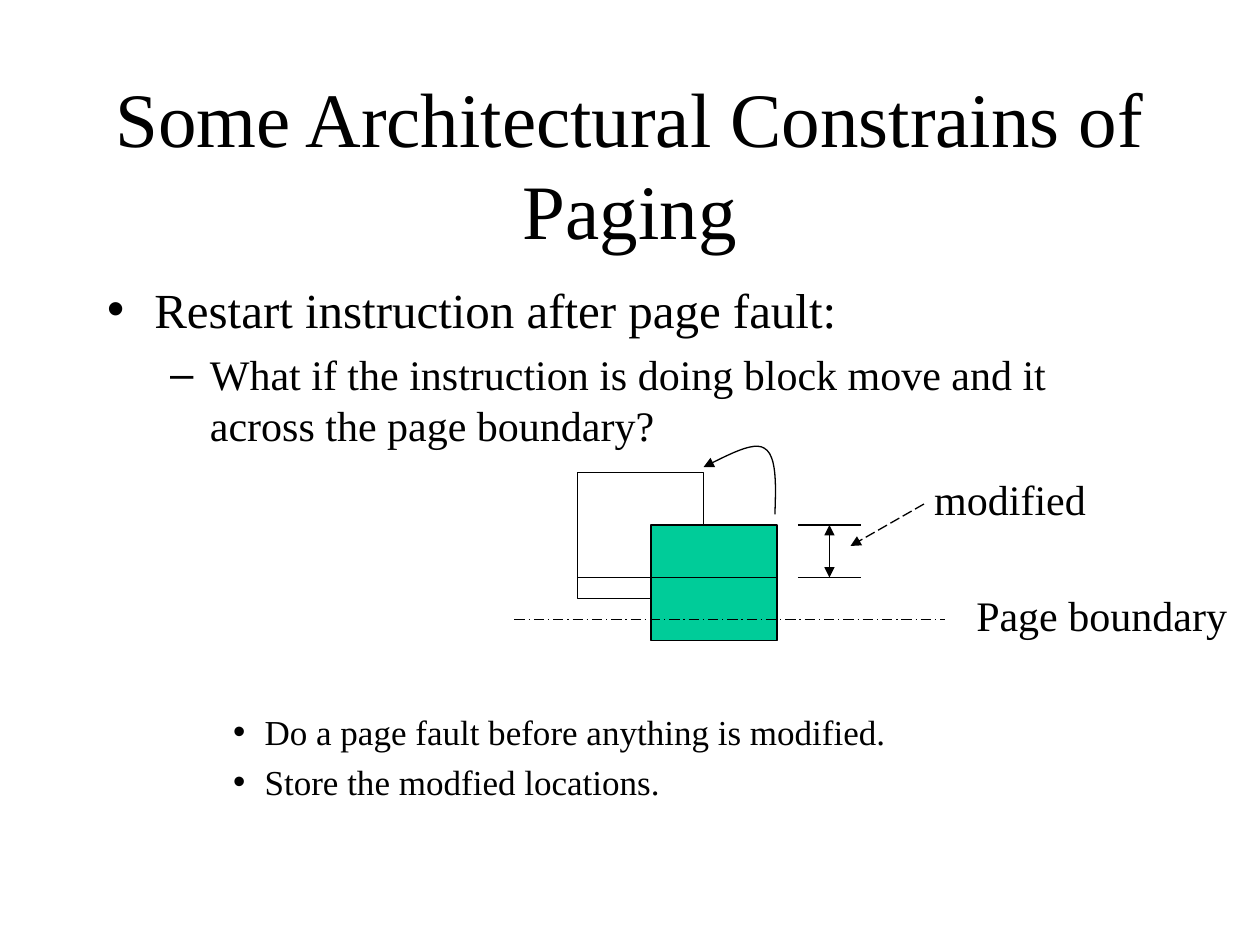
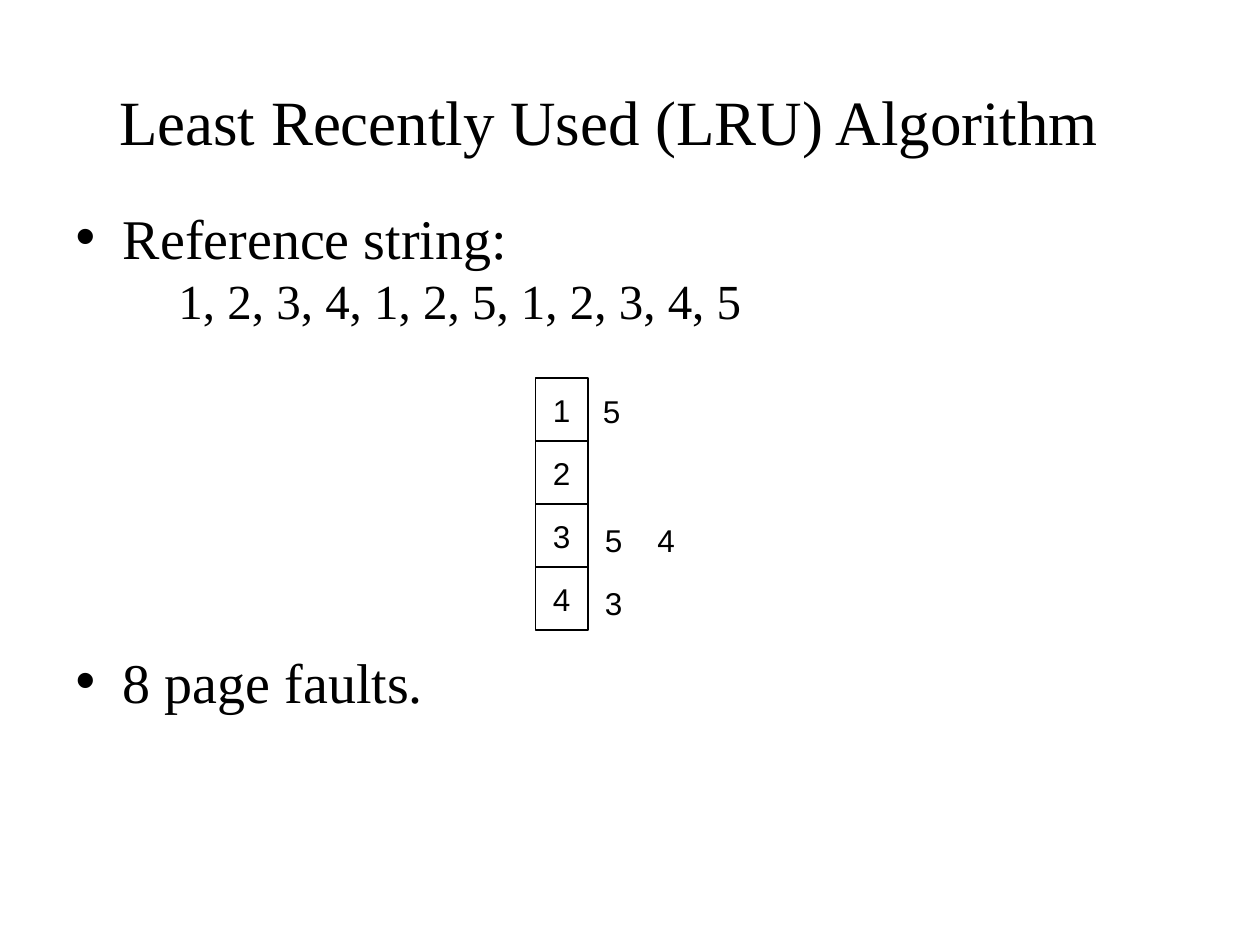
from lxml import etree
from pptx import Presentation
from pptx.dml.color import RGBColor
from pptx.enum.dml import MSO_LINE
from pptx.enum.shapes import MSO_CONNECTOR, MSO_SHAPE
from pptx.enum.text import MSO_ANCHOR, MSO_AUTO_SIZE, PP_ALIGN
from pptx.oxml.ns import qn
from pptx.util import Pt

PX = 7620
BLACK = RGBColor(0, 0, 0)
WHITE = RGBColor(255, 255, 255)
GREEN = RGBColor(0, 204, 153)
SERIF, SANS = "Times New Roman", "Arial"
RECT = MSO_SHAPE.RECTANGLE
STRAIGHT = MSO_CONNECTOR.STRAIGHT
DASH, DASHDOT = MSO_LINE.LONG_DASH, MSO_LINE.LONG_DASH_DOT
CENTER, LEFT = PP_ALIGN.CENTER, PP_ALIGN.LEFT
MIDDLE, TOP = MSO_ANCHOR.MIDDLE, MSO_ANCHOR.TOP
FIXED, GROW = MSO_AUTO_SIZE.NONE, MSO_AUTO_SIZE.SHAPE_TO_FIT_TEXT
INDENT = [(45, 45), (98, 38), (150, 30)]


def emu(*vals):
    """Turn px lengths into EMU."""
    return [round(val * PX) for val in vals]


def move(item, box):
    """Place a shape at a px box."""
    item.left, item.top, item.width, item.height = emu(*box)


def write(para, text, size, font=SERIF):
    """Add one black run to a paragraph."""
    run = para.add_run()
    run.text = text
    run.font.size = Pt(size)
    run.font.name = font
    run.font.color.rgb = BLACK


def label(shape, text, size, font, align, anchor):
    """Put a single unwrapped line of text in a shape."""
    frame = shape.text_frame
    frame.word_wrap = False
    frame.vertical_anchor = anchor
    para = frame.paragraphs[0]
    para.alignment = align
    write(para, text, size, font)


def note(slide, box, text, size=24, font=SERIF, align=LEFT, anchor=TOP):
    """Add a free text label."""
    shape = slide.shapes.add_textbox(*emu(*box))
    label(shape, text, size, font, align, anchor)
    shape.text_frame.auto_size = GROW


def block(slide, box, fill):
    """Add a filled rectangle with a thin black outline."""
    shape = slide.shapes.add_shape(RECT, *emu(*box))
    shape.shadow.inherit = False
    shape.fill.solid()
    shape.fill.fore_color.rgb = fill
    ink(shape)
    return shape


def ink(shape, dash=None, ends=()):
    """Style an outline, with optional dashes and arrowheads."""
    line = shape.line
    line.width = Pt(0.75)
    line.color.rgb = BLACK
    if dash is not None:
        line.dash_style = dash
    for end in ends:
        etree.SubElement(line._get_or_add_ln(), qn("a:" + end), type="triangle")


def rule(slide, x1, y1, x2, y2, dash=None, ends=()):
    """Add a straight line."""
    shape = slide.shapes.add_connector(STRAIGHT, *emu(x1, y1, x2, y2))
    ink(shape, dash, ends)
    etree.SubElement(shape._element.spPr, qn("a:effectLst"))


def curve(slide, x, y, start, bends, steps=12):
    """Draw a chain of cubic bends that ends in an arrowhead."""
    dots = [start]
    for bend in bends:
        knots = (dots[-1], *bend)
        for step in range(1, steps + 1):
            t = step / steps
            u = 1 - t
            mix = (u**3, 3 * u * u * t, 3 * u * t * t, t**3)
            dots.append(tuple(sum(m * k[i] for m, k in zip(mix, knots)) for i in (0, 1)))
    ends = [emu(x + dx, y + dy) for dx, dy in dots]
    pen = slide.shapes.build_freeform(*ends[0])
    pen.add_line_segments(ends[1:], close=False)
    shape = pen.convert_to_shape()
    shape.shadow.inherit = False
    shape.fill.background()
    ink(shape, ends=["tailEnd"])


def head(slide, box, text, size):
    """Fill the title placeholder."""
    title = slide.shapes.title
    move(title, box)
    label(title, text, size, SERIF, CENTER, MIDDLE)
    title.text_frame.word_wrap = True
    title.text_frame.auto_size = FIXED


def body(slide, box, items, pitch=1.0):
    """Fill the list placeholder with (text, level, size, gap, bullet) items."""
    holder = slide.placeholders[1]
    move(holder, box)
    frame = holder.text_frame
    frame.auto_size = FIXED
    for i, (text, level, size, gap, bullet) in enumerate(items):
        para = frame.add_paragraph() if i else frame.paragraphs[0]
        para.level = level
        left, hang = emu(*INDENT[level])
        props = para._p.get_or_add_pPr()
        props.set("marL", str(left))
        props.set("indent", str(-hang if bullet else 0))
        if not bullet:
            etree.SubElement(props, qn("a:buNone"))
        para.line_spacing = pitch
        para.space_before = Pt(gap)
        write(para, text, size)


def move_map(slide, x, y):
    """Draw the overlapping blocks, the boundary and the modified range."""
    block(slide, (x + 60, y + 30, 120, 120), WHITE)
    curve(slide, x, y, (248, 70), [
        ((249, 42), (250, 14), (238, 7)),
        ((228, 0), (204, 13), (180, 25)),
    ])
    block(slide, (x + 130, y + 80, 120, 110), GREEN)
    rule(slide, x, y + 170, x + 410, y + 170, DASHDOT)
    note(slide, (x + 428, y + 136, 263, 60), "Page boundary")
    for level in (80, 130):
        rule(slide, x + 270, y + level, x + 330, y + level)
    rule(slide, x + 300, y + 80, x + 300, y + 130, ends=["headEnd", "tailEnd"])
    rule(slide, x + 390, y + 60, x + 320, y + 100, DASH, ["tailEnd"])
    note(slide, (x + 388, y + 25, 168, 60), "modified")
    rule(slide, x + 60, y + 130, x + 250, y + 130)


def frames(slide, x, y):
    """Draw the column of page frames and the pages that replace them."""
    for i in range(4):
        cell = block(slide, (x, y + 60 * i, 50, 60), WHITE)
        label(cell, str(i + 1), 18, SANS, CENTER, MIDDLE)
    for dx, dy, page in ((52, 7, "5"), (54, 130, "5"), (104, 130, "4"), (54, 190, "3")):
        note(slide, (x + dx, y + dy, 41, 48), page, 18, SANS, CENTER, MIDDLE)


def paging(slide):
    """Build the slide on paging constraints."""
    head(slide, (90, 80, 1020, 150), "Some Architectural Constrains of Paging", 44)
    body(slide, (90, 260, 1020, 540), [
        ("Restart instruction after page fault:", 0, 28, 0, True),
        ("What if the instruction is doing block move and it across the page boundary?",
         1, 24, 6, True),
        ("Do a page fault before anything is modified.", 2, 20, 149, True),
        ("Store the modfied locations.", 2, 20, 5, True),
    ])
    move_map(slide, 490, 420)


def recent(slide):
    """Build the slide on the LRU algorithm."""
    head(slide, (70, 40, 1020, 150), "Least Recently Used (LRU) Algorithm", 36)
    body(slide, (60, 200, 1020, 540), [
        ("Reference string:", 0, 32, 0, True),
        ("1, 2, 3, 4, 1, 2, 5, 1, 2, 3, 4, 5", 1, 28, 7, False),
        ("8 page faults.", 0, 32, 189, True),
    ], 0.8)
    frames(slide, 510, 360)


def main():
    """Build and save the deck."""
    deck = Presentation()
    deck.slide_width, deck.slide_height = emu(1200, 900)
    for build in (paging, recent):
        build(deck.slides.add_slide(deck.slide_layouts[1]))
    deck.save("out.pptx")


if __name__ == "__main__":
    main()
